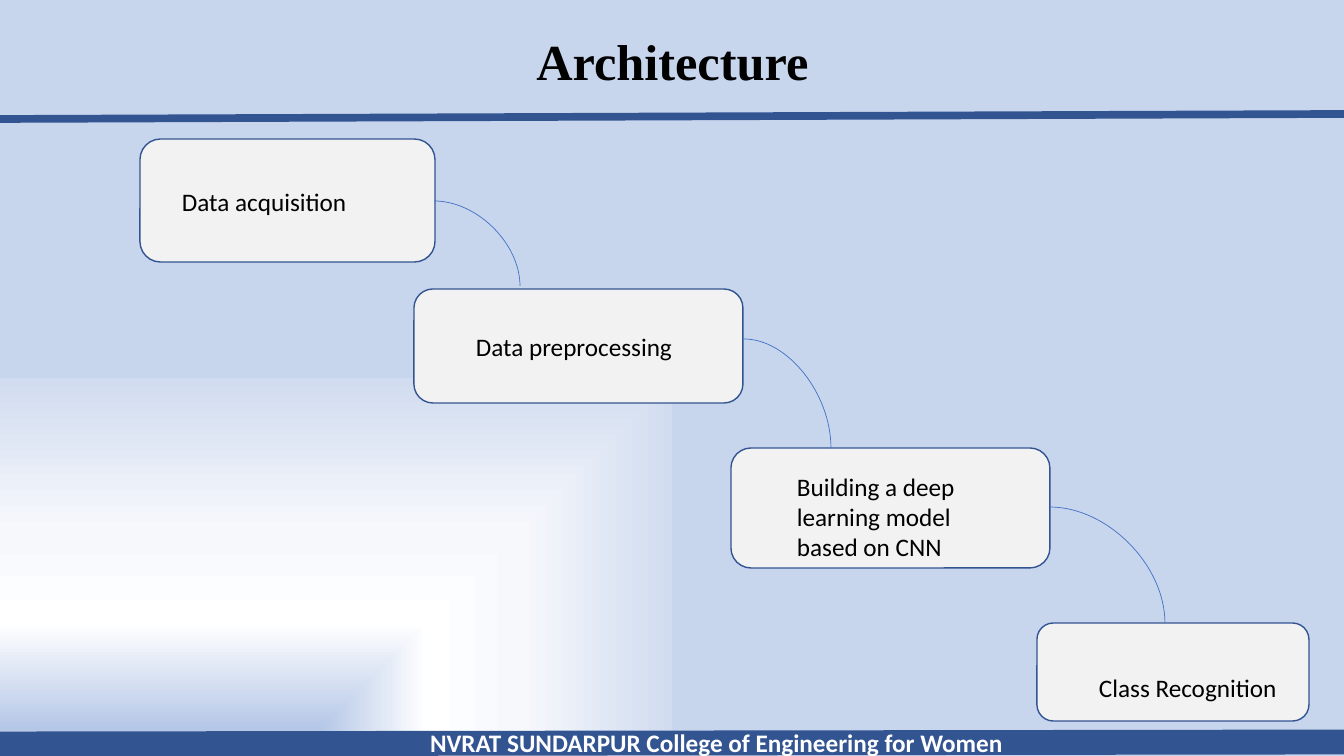
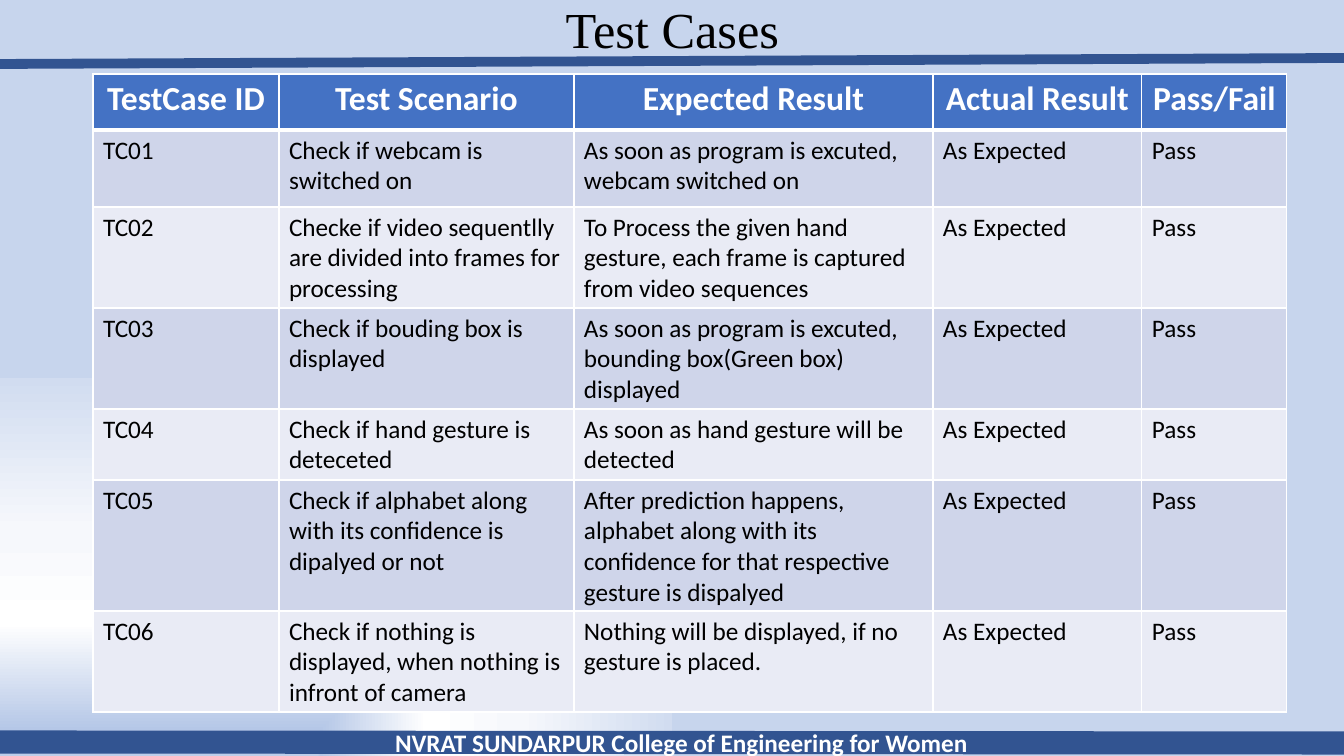
import pptx
import pptx.dml.color
import pptx.enum.shapes
import pptx.enum.text
import pptx.oxml
import pptx.oxml.ns
import pptx.util
from lxml import etree

WIDTH, HEIGHT = 1344, 756  # px
SCALE = 12192000 / WIDTH   # EMU per px

COLORS = {
    "band": "325491", "accent": "4472C4", "box": "F2F2F2",
    "text": "000000", "white": "FFFFFF",
    "odd row": "CFD5EA", "even row": "E9EBF5",
}
BACKDROP = [(6, "BECEEA"), (7, "B5C7E7"), (35, "FFFFFF"), (60, "F6F8FC"),
            (100, "D1DCF0"), (100, "ABC0E4"), (100, "C7D5ED")]
TITLE_FONT, BODY_FONT = "Times New Roman", "Calibri"
FOOTER = "NVRAT SUNDARPUR College of Engineering for Women"

# Frames are left, top, width, height; lines run from left y to right y
FRAMES = [
    {"title": "Architecture", "bold": True, "title_at": (93, 40, 1159, 48),
     "rule": (119, 114, 5.5), "band": (744, 742, 17.75),
     "footer_at": (361, 722, 711, 40)},
    {"title": "Test Cases", "bold": False, "title_at": (93, 0, 1159, 64),
     "rule": (64, 58, 7), "band": (742, 743, 16.5),
     "footer_at": (300, 722, 763, 40)},
]

# Label, box frame, label frame
STEPS = [
    ("Data acquisition", (140, 139, 295, 123), (172, 181, 206, 40)),
    ("Data preprocessing", (414, 289, 329, 114), (466, 326, 243, 40)),
    ("Building a deep learning model based on CNN",
     (731, 448, 319, 120), (787, 466, 206, 102)),
    ("Class Recognition", (1037, 623, 272, 98), (1089, 667, 221, 40)),
]
CURVES = [(434, 201, 520, 286), (744, 339, 831, 448), (1050, 507, 1165, 623)]

HEADERS = ["TestCase ID", "Test Scenario", "Expected Result",
           "Actual Result", "Pass/Fail"]
CASES = [
    ("Check if webcam is switched on",
     "As soon as program is excuted, webcam switched on"),
    ("Checke if video sequentlly are divided into frames for processing",
     "To Process the given hand gesture, each frame is captured from video sequences"),
    ("Check if bouding box is displayed",
     "As soon as program is excuted, bounding box(Green box) displayed"),
    ("Check if hand gesture is deteceted",
     "As soon as hand gesture will be detected"),
    ("Check if alphabet along with its confidence is dipalyed or not",
     "After prediction happens, alphabet along with its confidence for that "
     "respective gesture is dispalyed"),
    ("Check if nothing is displayed, when nothing is infront of camera",
     "Nothing will be displayed, if no gesture is placed."),
]
TABLE_ORIGIN = (93, 74)
COLUMN_WIDTHS = [186, 295, 359, 209, 145]
ROW_HEIGHTS = [56, 77, 101, 101, 71, 131, 101]

CENTER = pptx.enum.text.PP_ALIGN.CENTER
LEFT = pptx.enum.text.PP_ALIGN.LEFT
CONNECTOR = pptx.enum.shapes.MSO_CONNECTOR
qn = pptx.oxml.ns.qn


def px(*lengths):
    return [pptx.util.Emu(round(length * SCALE)) for length in lengths]


def rgb(name):
    return pptx.dml.color.RGBColor.from_string(COLORS[name])


def write(frame, text, size, color="text", bold=False, align=LEFT, font=BODY_FONT):
    frame.text = text
    frame.word_wrap = True
    para = frame.paragraphs[0]
    para.alignment = align
    para.font.name = font
    para.font.size = pptx.util.Pt(size)
    para.font.bold = bold
    para.font.color.rgb = rgb(color)
    return para


def add_text(page, at, text, **style):
    box = page.shapes.add_textbox(*px(*at))
    write(box.text_frame, text, 18, **style)


def add_line(page, ends, color, width, kind=CONNECTOR.STRAIGHT):
    line = page.shapes.add_connector(kind, *px(*ends))
    line.line.color.rgb = rgb(color)
    line.line.width = pptx.util.Pt(width)
    etree.SubElement(line.element.spPr, qn("a:effectLst"))
    return line


def paint_backdrop(master):
    """Fill the master with a gradient that spreads from the lower left corner."""
    master.background.fill.solid()
    stops = "".join(f'<a:gs pos="{pos * 1000}"><a:srgbClr val="{color}"/></a:gs>'
                    for pos, color in BACKDROP)
    gradient = pptx.oxml.parse_xml(
        f'<a:gradFill {pptx.oxml.ns.nsdecls("a")} rotWithShape="1">'
        f'<a:gsLst>{stops}</a:gsLst><a:path path="rect">'
        '<a:fillToRect t="100000" r="100000"/></a:path></a:gradFill>')
    solid = master.element.xpath(".//p:bgPr/a:solidFill")[0]
    solid.getparent().replace(solid, gradient)


def add_page(deck, frame):
    """Add a slide with its title, rule, footer band and footer text."""
    page = deck.slides.add_slide(deck.slide_layouts[5])
    title = page.shapes.title
    title.left, title.top, title.width, title.height = px(*frame["title_at"])
    para = write(title.text_frame, frame["title"], 36, bold=frame["bold"],
                 align=CENTER, font=TITLE_FONT)
    para.line_spacing = 0.9
    title.text_frame.vertical_anchor = pptx.enum.text.MSO_ANCHOR.MIDDLE
    for part in ("rule", "band"):
        start, end, width = frame[part]
        add_line(page, (0, start, WIDTH, end), "band", width)
    add_text(page, frame["footer_at"], FOOTER, color="white", bold=True, align=CENTER)
    return page


def add_steps(page):
    for label, box_at, label_at in STEPS:
        box = page.shapes.add_shape(
            pptx.enum.shapes.MSO_SHAPE.ROUNDED_RECTANGLE, *px(*box_at))
        box.shadow.inherit = False
        box.fill.solid()
        box.fill.fore_color.rgb = rgb("box")
        box.line.color.rgb = rgb("band")
        box.line.width = pptx.util.Pt(1)
        add_text(page, label_at, label)
    for ends in CURVES:
        curve = add_line(page, ends, "accent", 0.5, CONNECTOR.CURVE)
        # A quarter bend instead of the default S bend
        curve.element.spPr.find(qn("a:prstGeom")).set("prst", "curvedConnector2")


def set_borders(cell, bottom):
    props = cell._tc.get_or_add_tcPr()
    for index, (side, width) in enumerate(
            [("lnL", 1), ("lnR", 1), ("lnT", 1), ("lnB", bottom)]):
        props.insert(index, pptx.oxml.parse_xml(
            f'<a:{side} {pptx.oxml.ns.nsdecls("a")} w="{width * 12700}"><a:solidFill>'
            f'<a:srgbClr val="{COLORS["white"]}"/></a:solidFill></a:{side}>'))


def add_cases(page):
    rows = [HEADERS] + [
        (f"TC{number:02}", scenario, expected, "As Expected", "Pass")
        for number, (scenario, expected) in enumerate(CASES, 1)]
    size = (sum(COLUMN_WIDTHS), sum(ROW_HEIGHTS))
    table = page.shapes.add_table(
        len(rows), len(HEADERS), *px(*TABLE_ORIGIN, *size)).table
    for column, width in zip(table.columns, px(*COLUMN_WIDTHS)):
        column.width = width
    for row, height in zip(table.rows, px(*ROW_HEIGHTS)):
        row.height = height
    for r, texts in enumerate(rows):
        fill = "accent" if r == 0 else "odd row" if r % 2 else "even row"
        for c, text in enumerate(texts):
            cell = table.cell(r, c)
            cell.fill.solid()
            cell.fill.fore_color.rgb = rgb(fill)
            set_borders(cell, bottom=3 if r == 0 else 1)
            if r == 0:
                write(cell.text_frame, text, 24, "white", True, CENTER)
            else:
                write(cell.text_frame, text, 18)


def main():
    deck = pptx.Presentation()
    deck.slide_width, deck.slide_height = px(WIDTH, HEIGHT)
    paint_backdrop(deck.slide_master)
    for frame, add_content in zip(FRAMES, (add_steps, add_cases)):
        add_content(add_page(deck, frame))
    deck.save("out.pptx")


if __name__ == "__main__":
    main()
